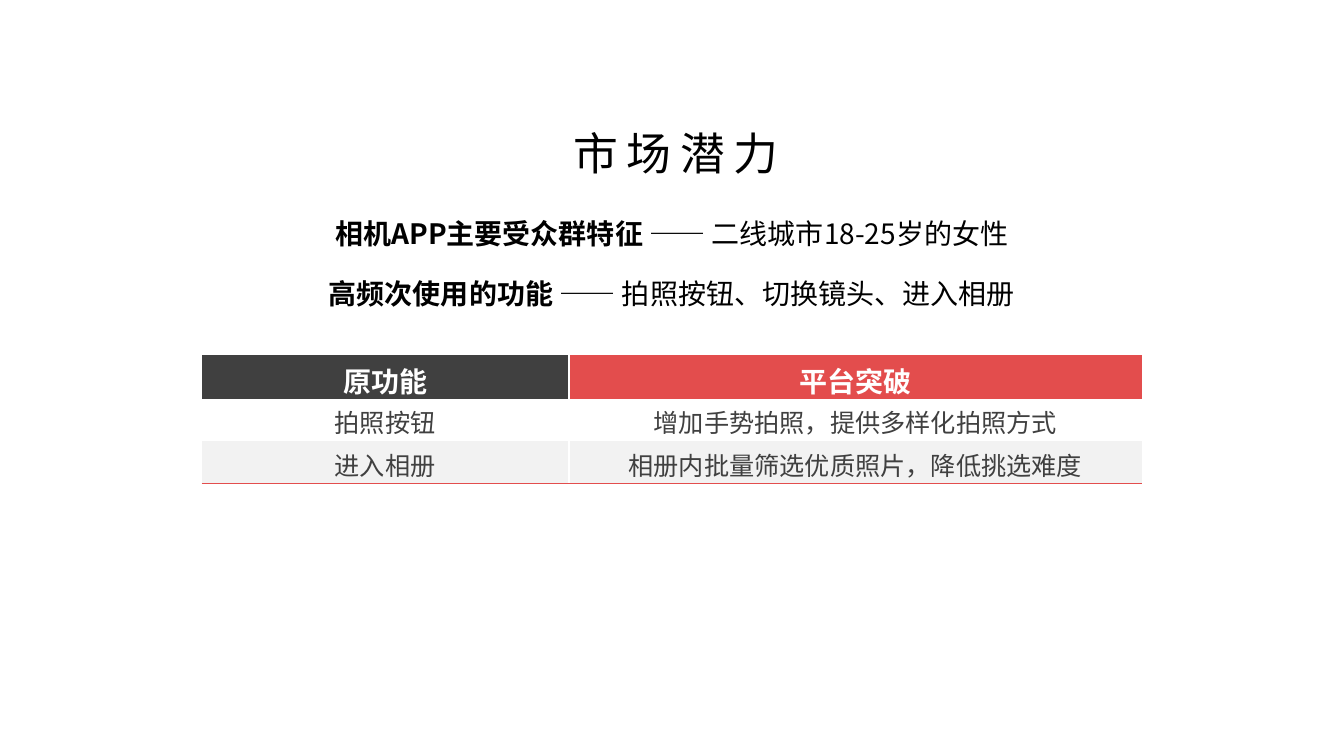
from lxml import etree
from pptx import Presentation
from pptx.dml.color import RGBColor
from pptx.enum import text
from pptx.oxml.ns import qn
from pptx.util import Cm, Pt

FONT = "Noto Sans CJK SC"
BLACK, WHITE, DARK, RED, PALE = "000000", "FFFFFF", "404040", "E34D4D", "F2F2F2"
NO_STYLE = "{2D5ABB26-0587-4C30-8999-92F81FD0307C}"

STATEMENTS = [
    ("相机APP主要受众群特征 ", "—— 二线城市18-25岁的女性"),
    ("高频次使用的功能 ", "—— 拍照按钮、切换镜头、进入相册"),
]
FEATURES = [
    ("原功能", "平台突破"),
    ("拍照按钮", "增加手势拍照，提供多样化拍照方式"),
    ("进入相册", "相册内批量筛选优质照片，降低挑选难度"),
]
ROW_FILLS = [(DARK, RED), (WHITE, WHITE), (PALE, PALE)]


def rgb(color):
    return RGBColor.from_string(color)


def format_paragraph(p, size, color, bold=None, spacing=None):
    """Centre a paragraph and set its font for Latin and Chinese text."""
    p.alignment = text.PP_ALIGN.CENTER
    p.font.size = Pt(size)
    p.font.bold = bold
    p.font.color.rgb = rgb(color)
    p.font.name = FONT
    props = p._p.pPr.find(qn("a:defRPr"))
    etree.SubElement(props, qn("a:ea"), typeface=FONT)
    if spacing:
        props.set("spc", str(spacing * 100))


def place(sp, left, top, width, height):
    sp.left, sp.top, sp.width, sp.height = Cm(left), Cm(top), Cm(width), Cm(height)


def add_title(sp, title):
    place(sp, 9.3, 3, 15.27, 1.68)
    tf = sp.text_frame
    tf.auto_size = text.MSO_AUTO_SIZE.NONE
    tf.margin_left, tf.margin_right = Cm(0.28), Cm(0.08)
    tf.margin_top = tf.margin_bottom = Cm(0.1)
    tf.text = title
    format_paragraph(tf.paragraphs[0], 32, BLACK, spacing=6)


def add_statements(sp, statements):
    place(sp, 4.7, 5.33, 24.46, 2.82)
    tf = sp.text_frame
    tf.auto_size = text.MSO_AUTO_SIZE.SHAPE_TO_FIT_TEXT
    for i, (topic, finding) in enumerate(statements):
        p = tf.add_paragraph() if i else tf.paragraphs[0]
        p.space_before = Pt(19 if i else 0)
        format_paragraph(p, 20, BLACK)
        for words, bold in ((topic, True), (finding, False)):
            r = p.add_run()
            r.text = words
            r.font.bold = bold


def add_border(cell, side, color):
    """Draw one cell edge; the fill must be set afterwards."""
    ln = etree.SubElement(cell._tc.get_or_add_tcPr(), qn(f"a:ln{side}"), w=str(Pt(1.5)))
    fill = etree.SubElement(ln, qn("a:solidFill"))
    etree.SubElement(fill, qn("a:srgbClr"), val=color)


def add_feature_table(slide, rows):
    frame = slide.shapes.add_table(len(rows), 2, Cm(5.08), Cm(8.94), Cm(23.7), Cm(3.21))
    table = frame.table
    frame._element.find(".//" + qn("a:tableStyleId")).text = NO_STYLE
    table.horz_banding = False
    table.columns[0].width, table.columns[1].width = Cm(9.25), Cm(14.45)
    for i, row in enumerate(rows):
        header, last = i == 0, i == len(rows) - 1
        for j, words in enumerate(row):
            cell = table.cell(i, j)
            cell.text = words
            cell.vertical_anchor = text.MSO_ANCHOR.MIDDLE
            format_paragraph(cell.text_frame.paragraphs[0], 20 if header else 18,
                             WHITE if header else DARK, bold=header)
            add_border(cell, "L" if j else "R", WHITE)
            if last:
                add_border(cell, "B", RED)
            cell.fill.solid()
            cell.fill.fore_color.rgb = rgb(ROW_FILLS[i][j])


def main():
    prs = Presentation()
    prs.slide_width, prs.slide_height = Cm(33.87), Cm(19.05)
    slide = prs.slides.add_slide(prs.slide_layouts[0])
    add_statements(slide.placeholders[1], STATEMENTS)
    add_title(slide.shapes.title, "市场潜力")
    add_feature_table(slide, FEATURES)
    prs.save("out.pptx")


if __name__ == "__main__":
    main()
